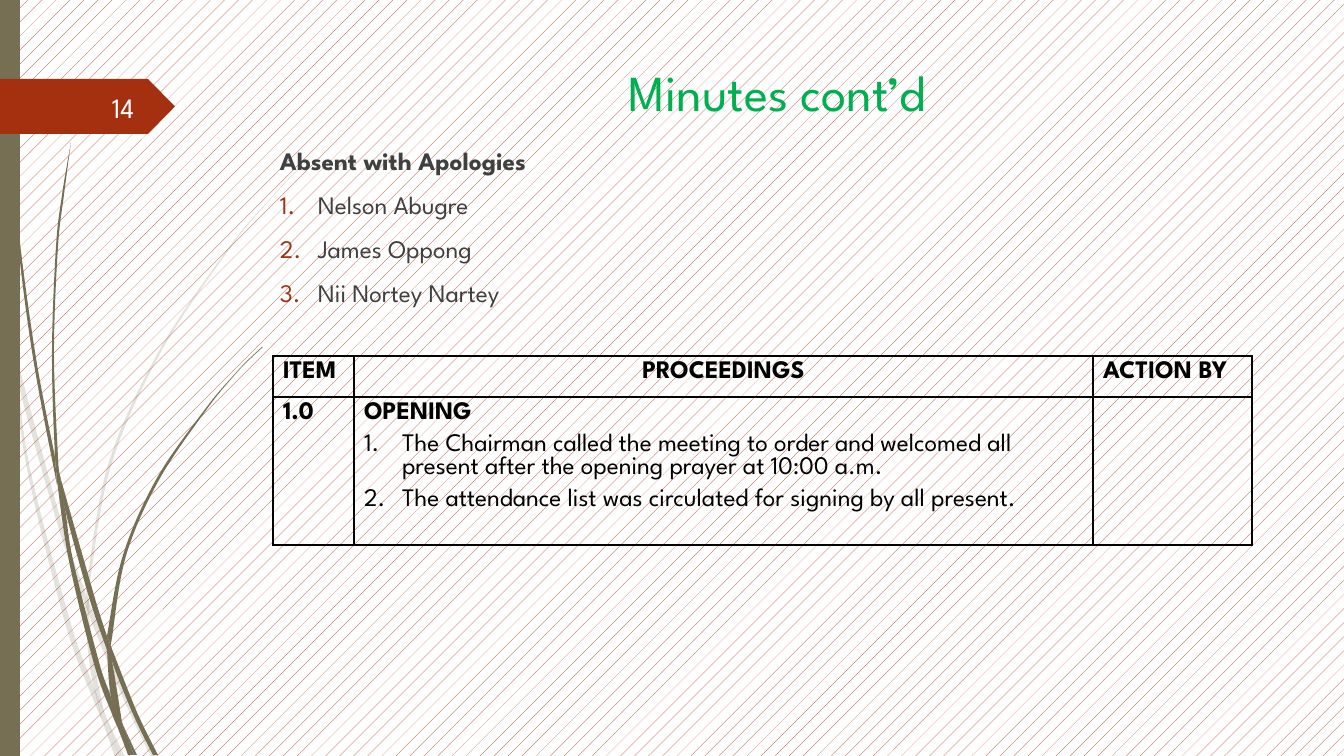
from lxml.etree import SubElement
from pptx import Presentation
from pptx.dml.color import RGBColor
from pptx.enum.dml import MSO_PATTERN
from pptx.enum.shapes import MSO_SHAPE
from pptx.enum.text import MSO_ANCHOR, PP_ALIGN
from pptx.oxml.ns import qn
from pptx.util import Pt

PX = 12192000 / 1344
FONT = "League Spartan"
COLORS = {"olive": "766F54", "rust": "A53010", "green": "00B050", "gray": "404040",
          "black": "000000", "white": "FFFFFF", "number": "FEFFFF"}

TITLE = "Minutes cont’d"
PAGE = "14"
ABSENT_HEADING = "Absent with Apologies"
ABSENT = ["Nelson Abugre", "James Oppong", "Nii Nortey Nartey"]
HEADERS = ["ITEM", "PROCEEDINGS", "ACTION BY"]
ITEM = "1.0"
PROCEEDINGS_HEADING = "OPENING"
PROCEEDINGS = [
    "The Chairman called the meeting to order and welcomed all present after the opening prayer at 10:00 a.m.",
    "The attendance list was circulated for signing by all present.",
]
COLUMNS = [81, 739, 159]
ROWS = [41, 143]

PALE_BLADES = [
    ([(11, 353), (9, 325), (0, 284)], [(0, 301), (10, 347), (11, 353)]),
    ([(14, 348), (17, 379), (58, 526), (85, 604)], [(85, 591), (62, 524), (14, 348)]),
    ([(89, 601), (89, 615), (124, 700), (151, 757)], [(156, 757), (128, 698), (93, 612), (89, 601)]),
    ([(106, 717), (120, 757)], [(125, 757), (106, 717)]),
    ([(11, 353), (28, 474), (66, 626), (93, 699), (102, 720)],
     [(102, 720), (94, 688), (71, 624), (31, 473), (17, 379), (11, 353)]),
    ([(85, 604), (88, 651), (94, 688), (106, 717)], [(104, 712), (92, 651), (89, 615), (85, 604)]),
    ([(314, 154), (291, 176), (270, 199), (230, 246), (159, 351), (108, 465), (86, 589)],
     [(89, 601), (89, 589), (111, 466), (161, 352), (231, 247), (270, 200), (292, 176), (314, 154)]),
    ([(102, 720), (115, 757)], [(120, 757), (102, 720)]),
    ([(89, 615), (89, 601)], [(86, 591), (85, 604), (89, 613)]),
    ([(94, 688), (100, 713), (102, 720), (120, 757)], [(120, 757), (106, 717), (94, 688)]),
]
DARK_BLADES = [
    ([(3, 0), (4, 48), (7, 111), (17, 235), (33, 358), (57, 485)],
     [(55, 457), (36, 358), (19, 234), (8, 110), (5, 48), (4, 0)]),
    ([(60, 476), (65, 509), (89, 597), (107, 650)], [(107, 636), (94, 595), (60, 476)]),
    ([(111, 646), (112, 661), (133, 714), (153, 755)], [(158, 755), (137, 712), (114, 654), (111, 646)]),
    ([(57, 481), (69, 561), (94, 664), (112, 714), (118, 728)],
     [(117, 723), (111, 697), (99, 662), (73, 560), (65, 509), (57, 481)]),
    ([(71, 142), (62, 195), (56, 247), (52, 352), (55, 453), (60, 476)],
     [(60, 476), (58, 457), (54, 352), (58, 247), (64, 195), (71, 142)]),
    ([(123, 725), (134, 755)], [(137, 755), (123, 725)]),
    ([(57, 481), (65, 509)], [(60, 476), (55, 453), (55, 457)]),
    ([(262, 347), (247, 361), (233, 376), (206, 408), (157, 478), (123, 555), (107, 636)],
     [(111, 646), (112, 638), (126, 556), (159, 480), (207, 409), (233, 377), (247, 362), (263, 347)]),
    ([(118, 728), (128, 755)], [(132, 755), (118, 728)]),
    ([(107, 650), (111, 697), (123, 725)], [(122, 722), (112, 661), (107, 650)]),
    ([(107, 650), (112, 661)], [(111, 646), (107, 636), (107, 638)]),
    ([(111, 697), (118, 728), (131, 755)], [(134, 755), (123, 725), (111, 697)]),
]


def px(*lengths):
    return [round(length * PX) for length in lengths]


def rgb(name):
    return RGBColor.from_string(COLORS[name])


def apply(target, formats):
    for name, value in formats.items():
        setattr(target, name, value)


def paint(shape, color, opacity=100):
    shape.shadow.inherit = False
    shape.line.fill.background()
    shape.fill.solid()
    shape.fill.fore_color.rgb = rgb(color)
    if opacity < 100:
        color_element = shape.fill._xPr.find(qn("a:solidFill"))[0]
        SubElement(color_element, qn("a:alpha"), val=str(opacity * 1000))


def curve_edges(shape, lengths):
    nodes = list(shape._element.iter(qn("a:pt")))
    points = [(int(node.get("x")), int(node.get("y"))) for node in nodes]
    start = 0
    for length in lengths:
        edge = points[start:start + length]
        padded = [edge[0], *edge, edge[-1]]
        for offset in range(1, length):
            before, first, last, after = padded[offset - 1:offset + 3]
            segment = nodes[start + offset].getparent()
            segment.tag = qn("a:cubicBezTo")
            controls = [
                [f + (l - b) / 6 for f, l, b in zip(first, last, before)],
                [l - (a - f) / 6 for l, a, f in zip(last, after, first)],
            ]
            for position, (x, y) in enumerate(controls):
                control = segment.makeelement(qn("a:pt"), {"x": str(round(x)), "y": str(round(y))})
                segment.insert(position, control)
        start += length


def add_blade(shapes, edges, opacity):
    outline = [tuple(px(*point)) for edge in edges for point in edge]
    builder = shapes.build_freeform(*outline[0], scale=1.0)
    builder.add_line_segments(outline[1:], close=False)
    blade = builder.convert_to_shape()
    curve_edges(blade, [len(edge) for edge in edges])
    SubElement(next(blade._element.iter(qn("a:path"))), qn("a:close"))
    paint(blade, "olive", opacity)


def number(paragraph, color):
    properties = paragraph._p.get_or_add_pPr()
    properties.set("marL", str(px(38)[0]))
    properties.set("indent", str(-px(38)[0]))
    bullet_color = SubElement(properties, qn("a:buClr"))
    SubElement(bullet_color, qn("a:srgbClr"), val=COLORS[color])
    SubElement(properties, qn("a:buFont"), typeface="+mj-lt")
    SubElement(properties, qn("a:buAutoNum"), type="arabicPeriod")


def write(frame, lines, size, color, bullet_color="black", **formats):
    for index, (text, bold, numbered) in enumerate(lines):
        paragraph = frame.paragraphs[0] if index == 0 else frame.add_paragraph()
        if numbered:
            number(paragraph, bullet_color)
        apply(paragraph, formats)
        if index == 0:
            paragraph.space_before = Pt(0)
        run = paragraph.add_run()
        run.text = text
        apply(run.font, {"name": FONT, "size": Pt(size), "bold": bold})
        run.font.color.rgb = rgb(color)


def border(cell):
    properties = cell._tc.get_or_add_tcPr()
    for position, side in enumerate(("lnL", "lnR", "lnT", "lnB")):
        line = properties.makeelement(qn(f"a:{side}"), {"w": str(Pt(1))})
        fill = SubElement(line, qn("a:solidFill"))
        SubElement(fill, qn("a:srgbClr"), val=COLORS["black"])
        properties.insert(position, line)


def add_minutes(shapes):
    frame = shapes.add_table(2, 3, *px(273, 356, sum(COLUMNS), sum(ROWS)))
    table = frame.table
    apply(table, {"first_row": False, "horz_banding": False})
    for column, width in zip(table.columns, px(*COLUMNS)):
        column.width = width
    for row, height in zip(table.rows, px(*ROWS)):
        row.height = height
    for cell in table.iter_cells():
        cell.fill.background()
        border(cell)
    for index, header in enumerate(HEADERS):
        alignment = PP_ALIGN.CENTER if index == 1 else PP_ALIGN.LEFT
        write(table.cell(0, index).text_frame, [(header, True, False)], 18, "black",
              alignment=alignment)
    details = [(PROCEEDINGS_HEADING, True, False)] + [(text, False, True) for text in PROCEEDINGS]
    for index, lines in enumerate([[(ITEM, True, False)], details]):
        text_frame = table.cell(1, index).text_frame
        write(text_frame, lines, 18, "black", space_after=Pt(6))
        text_frame.paragraphs[-1].space_after = Pt(0)


def main():
    presentation = Presentation()
    apply(presentation, dict(zip(("slide_width", "slide_height"), px(1344, 756))))
    slide = presentation.slides.add_slide(presentation.slide_layouts[5])
    shapes = slide.shapes
    background = slide.background.fill
    background.patterned()
    background.pattern = MSO_PATTERN.PERCENT_5
    background.fore_color.rgb = rgb("rust")
    background.back_color.rgb = rgb("white")

    for blades, opacity in ((PALE_BLADES, 20), (DARK_BLADES, 100)):
        for edges in blades:
            add_blade(shapes, edges, opacity)
    paint(shapes.add_shape(MSO_SHAPE.RECTANGLE, *px(0, 0, 20, 756)), "olive")
    banner = shapes.add_shape(MSO_SHAPE.PENTAGON, *px(0, 79, 175, 55))
    banner.adjustments[0] = 0.49
    paint(banner, "rust")

    title = shapes.title
    apply(title, dict(zip(("left", "top", "width", "height"), px(286, 54, 983, 73))))
    apply(title.text_frame, {"vertical_anchor": MSO_ANCHOR.BOTTOM, "word_wrap": True})
    write(title.text_frame, [(TITLE, False, False)], 36, "green", alignment=PP_ALIGN.CENTER)

    body = shapes.add_textbox(*px(270, 140, 998, 511)).text_frame
    body.word_wrap = True
    absent = [(ABSENT_HEADING, True, False)] + [(name, False, True) for name in ABSENT]
    write(body, absent, 18, "gray", "rust", space_before=Pt(10))

    page = shapes.add_textbox(*px(58, 87, 86, 40)).text_frame
    apply(page, {"word_wrap": True, "vertical_anchor": MSO_ANCHOR.MIDDLE})
    write(page, [(PAGE, False, False)], 20, "number", alignment=PP_ALIGN.RIGHT)

    add_minutes(shapes)
    presentation.save("out.pptx")


if __name__ == "__main__":
    main()
